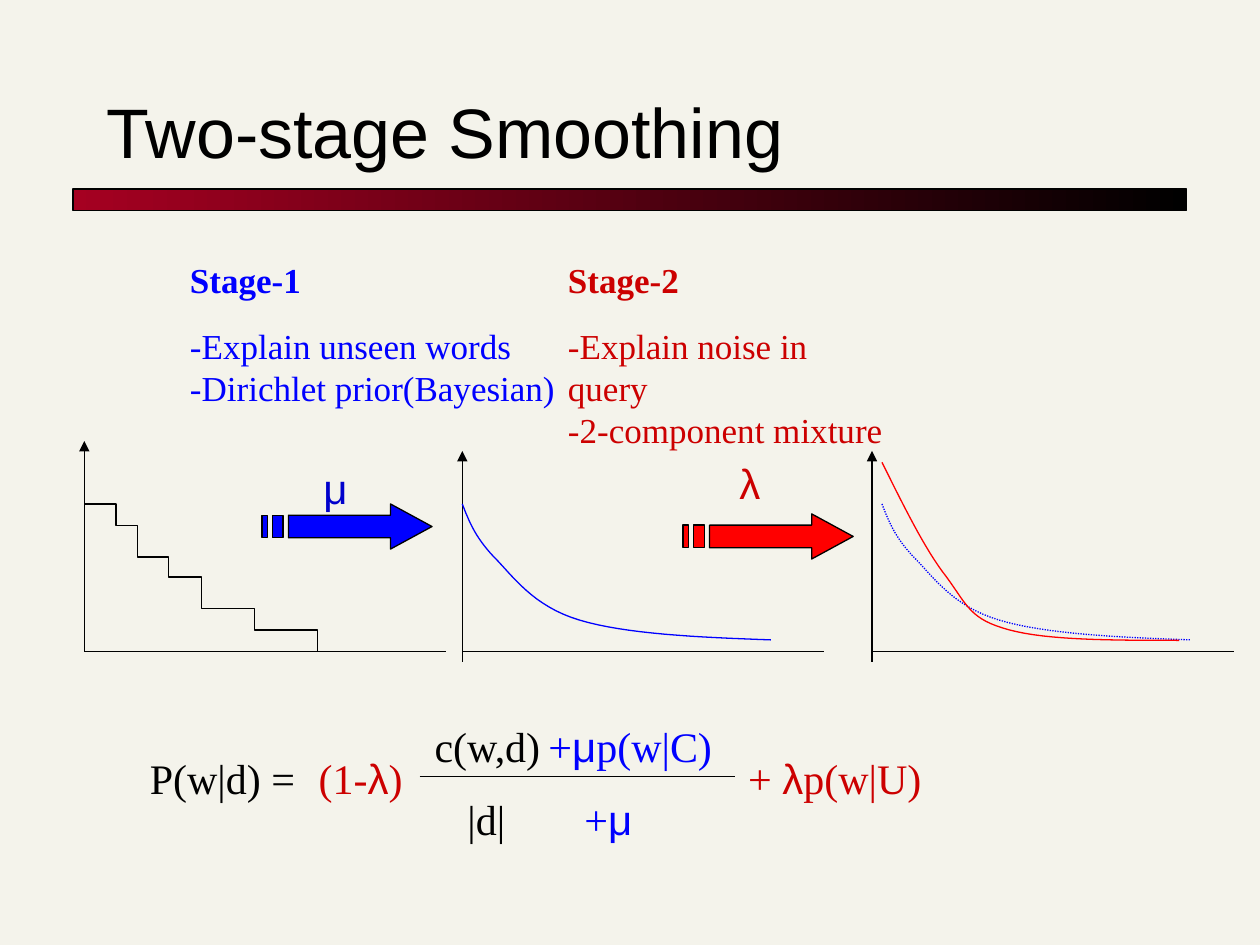
import itertools
from dataclasses import dataclass

import pptx
import pptx.dml.color
import pptx.enum.dml
import pptx.enum.shapes
import pptx.enum.text
import pptx.oxml.ns
import pptx.oxml.xmlchemy
import pptx.util
from pptx.util import Cm, Pt

BLACK, BLUE, DARK_BLUE = "000000", "0000FF", "0000CC"
RED, DARK_RED = "FF0000", "CC0000"
GREEK = "μλ"
BASELINE = 13.13


@dataclass
class Label:
    text: str
    left: float
    top: float
    width: float
    color: str


@dataclass
class Stage:
    lines: list[str]
    left: float
    width: float
    color: str


@dataclass
class Axes:
    left: float
    top: float
    bottom: float


LABELS = [
    Label("c(w,d)", 8.48, 14.4, 2.69, BLACK),
    Label("|d|", 9.17, 15.88, 1.27, BLACK),
    Label("P(w|d) =", 2.77, 15.04, 3.43, BLACK),
    Label("+μp(w|C)", 10.8, 14.4, 3.81, BLUE),
    Label("+μ", 11.53, 15.88, 1.47, BLUE),
    Label("(1-λ)", 6.15, 15.04, 2.24, DARK_RED),
    Label("+ λp(w|U)", 14.81, 15.04, 4.04, DARK_RED),
    Label("μ", 6.27, 9.19, 0.99, DARK_BLUE),
    Label("λ", 14.63, 9.09, 0.97, DARK_RED),
]
STAGES = [
    Stage(["Stage-1", "-Explain unseen words", "-Dirichlet prior(Bayesian)"],
          3.58, 7.87, BLUE),
    Stage(["Stage-2", "-Explain noise in query", "-2-component mixture"],
          11.2, 7.11, DARK_RED),
]
AXES = [Axes(1.7, 8.89, BASELINE), Axes(9.32, 9.09, 13.34), Axes(17.58, 9.09, 13.34)]

# Step corners, and Bezier points relative to the start of each curve
STEPS = [(1.7, 10.16), (2.34, 10.59), (2.77, 11.23), (3.4, 11.63),
         (4.06, 12.27), (5.13, 12.7), (6.4, BASELINE)]
STEPS_END = 7.49
SMOOTHED = [(0, 0), (0.13, 0.33), (0.25, 0.66), (0.64, 1.07), (1.02, 1.45),
            (1.42, 2.06), (2.36, 2.34), (3.28, 2.62), (4.75, 2.69), (6.22, 2.74)]
MIXED = [(0, 0), (0.43, 0.86), (0.86, 1.75), (1.3, 2.31), (1.73, 2.9),
         (1.78, 3.17), (2.57, 3.38), (3.35, 3.59), (4.67, 3.59), (5.99, 3.59)]


def rgb(value: str) -> pptx.dml.color.RGBColor:
    return pptx.dml.color.RGBColor.from_string(value)


def set_line(shape, color: str) -> None:
    shape.line.color.rgb = rgb(color)
    shape.line.width = Pt(0.75)


def add_line(slide, start: tuple, end: tuple, arrow: bool = False) -> None:
    line = slide.shapes.add_connector(
        pptx.enum.shapes.MSO_CONNECTOR.STRAIGHT, *map(Cm, start + end))
    set_line(line, BLACK)
    properties = line._element.spPr
    if arrow:
        tail = pptx.oxml.xmlchemy.OxmlElement("a:tailEnd")
        tail.set("type", "triangle")
        properties.find(pptx.oxml.ns.qn("a:ln")).append(tail)
    properties.append(pptx.oxml.xmlchemy.OxmlElement("a:effectLst"))


def add_outline(slide, contours: list, color: str, fill: str | None = None):
    """Draw contours, given in cm, as one shape; closed when filled."""
    contours = [[(Cm(x), Cm(y)) for x, y in points] for points in contours]
    builder = slide.shapes.build_freeform(*contours[0][0])
    for number, points in enumerate(contours):
        if number:
            builder.move_to(*points[0])
        builder.add_line_segments(points[1:], close=fill is not None)
    outline = builder.convert_to_shape()
    outline.shadow.inherit = False
    set_line(outline, color)
    if fill:
        outline.fill.solid()
        outline.fill.fore_color.rgb = rgb(fill)
    else:
        outline.fill.background()
    return outline


def bezier(points: list, left: float, top: float, parts: int = 16) -> list:
    """Points along a chain of cubic curves, moved to left, top."""
    curve = [(left, top)]
    for first in range(0, len(points) - 1, 3):
        for t in (step / parts for step in range(1, parts + 1)):
            weights = ((1 - t) ** 3, 3 * t * (1 - t) ** 2, 3 * t * t * (1 - t), t ** 3)
            x, y = (sum(w * p[axis] for w, p in zip(weights, points[first:first + 4]))
                    for axis in (0, 1))
            curve.append((left + x, top + y))
    return curve


def add_striped_arrow(slide, left: float, top: float, fill: str) -> None:
    width, height = 3.43, 0.91
    x = [left + width * part / 32 for part in (0, 1, 2, 4, 5, 24.2, 32)]
    y = [top + height * part / 4 for part in range(5)]
    head = [(x[4], y[1]), (x[5], y[1]), (x[5], y[0]), (x[6], y[2]),
            (x[5], y[4]), (x[5], y[3]), (x[4], y[3])]
    stripes = [[(a, y[1]), (b, y[1]), (b, y[3]), (a, y[3])]
               for a, b in ((x[0], x[1]), (x[2], x[3]))]
    add_outline(slide, [head, *stripes], BLACK, fill)


def add_text_frame(slide, left: float, top: float, width: float, height: float):
    frame = slide.shapes.add_textbox(*map(Cm, (left, top, width, height))).text_frame
    frame.word_wrap = False
    return frame


def format_font(font, size: float, color: str, name: str = "Times New Roman") -> None:
    font.size, font.name = Pt(size), name
    font.color.rgb = rgb(color)


def add_label(slide, label: Label) -> None:
    paragraph = add_text_frame(slide, label.left, label.top, label.width, 1.27).paragraphs[0]
    paragraph.alignment = pptx.enum.text.PP_ALIGN.CENTER
    format_font(paragraph.font, 24, label.color)
    for is_greek, letters in itertools.groupby(label.text, lambda letter: letter in GREEK):
        run = paragraph.add_run()
        run.text = "".join(letters)
        if is_greek:
            run.font.name = "Arial"


def add_stage(slide, stage: Stage) -> None:
    frame = add_text_frame(slide, stage.left, 5.08, stage.width, 3.3)
    frame.text = "\n".join(stage.lines)
    for number, paragraph in enumerate(frame.paragraphs):
        if number == 1:
            paragraph.space_before = Pt(14)
        format_font(paragraph.font, 20, stage.color)
        paragraph.font.bold = number == 0


def main() -> None:
    deck = pptx.Presentation()
    deck.slide_width, deck.slide_height = Cm(25.4), Cm(19.05)
    slide = deck.slides.add_slide(deck.slide_layouts[5])
    slide.background.fill.solid()
    slide.background.fill.fore_color.rgb = rgb("F4F3EB")

    # Title and gradient rule
    rule = slide.shapes.add_shape(pptx.enum.shapes.MSO_SHAPE.RECTANGLE,
                                  Cm(1.47), Cm(3.81), Cm(22.45), Cm(0.43))
    rule.shadow.inherit = False
    set_line(rule, BLACK)
    rule.fill.gradient()
    rule.fill.gradient_angle = 0
    for stop, color in zip(rule.fill.gradient_stops, ("A50021", BLACK)):
        stop.color.rgb = rgb(color)
    title = slide.shapes.title
    title.left, title.top, title.width, title.height = map(Cm, (1.9, 0.43, 21.59, 3.18))
    title.text_frame.text = "Two-stage Smoothing"
    title.text_frame.auto_size = pptx.enum.text.MSO_AUTO_SIZE.NONE
    title.text_frame.vertical_anchor = pptx.enum.text.MSO_ANCHOR.BOTTOM
    heading = title.text_frame.paragraphs[0]
    heading.alignment = pptx.enum.text.PP_ALIGN.LEFT
    format_font(heading.font, 40, BLACK, "Arial")

    # Stage descriptions
    for stage in STAGES:
        add_stage(slide, stage)

    # Graphs
    for axes in AXES:
        add_line(slide, (axes.left, BASELINE), (axes.left + 7.29, BASELINE))
        add_line(slide, (axes.left, axes.bottom), (axes.left, axes.top), arrow=True)
    ends = [x for x, _ in STEPS[1:]] + [STEPS_END]
    stairs = [point for (x, y), end in zip(STEPS, ends) for point in ((x, y), (end, y))]
    add_outline(slide, [stairs], BLACK)
    add_outline(slide, [bezier(SMOOTHED, 9.32, 10.16)], BLUE)
    dotted = add_outline(slide, [bezier(SMOOTHED, 17.78, 10.16)], BLUE)
    dotted.line.dash_style = pptx.enum.dml.MSO_LINE.ROUND_DOT
    add_outline(slide, [bezier(MIXED, 17.78, 9.32)], RED)
    add_striped_arrow(slide, 5.28, 10.16, BLUE)
    add_striped_arrow(slide, 13.77, 10.36, RED)

    # Formula and arrow labels
    add_line(slide, (8.46, 15.66), (14.81, 15.66))
    for label in LABELS:
        add_label(slide, label)

    deck.save("out.pptx")


if __name__ == "__main__":
    main()
